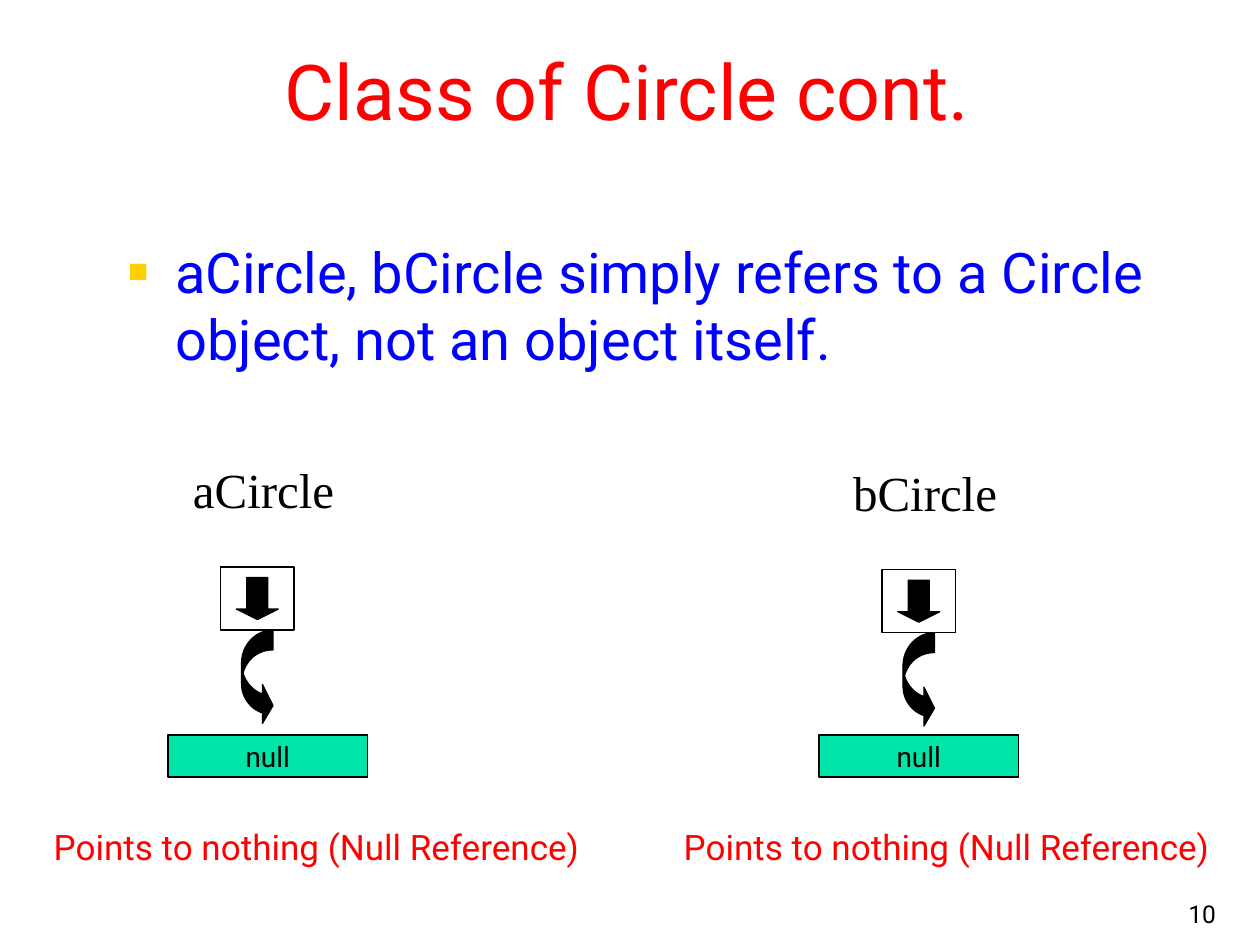
import pptx
import pptx.dml.color
import pptx.enum.shapes
import pptx.enum.text
import pptx.util
from lxml import etree

SHAPE = pptx.enum.shapes.MSO_SHAPE
ALIGN = pptx.enum.text.PP_ALIGN
ANCHOR = pptx.enum.text.MSO_ANCHOR
BLACK, WHITE, RED, BLUE = "000000", "FFFFFF", "FF0000", "0000FF"
GREEN, GOLD = "00E4A8", "FFCF01"
COLUMNS, ROWS = 120, 90
UNITS_PER_CELL = 100
CURVE_STEPS = 12


def cells(count):
    """Return the length of a number of grid cells, each a twelfth of an inch."""
    return pptx.util.Inches(count / 12)


def rgb(code):
    """Return the colour of a hex string."""
    return pptx.dml.color.RGBColor.from_string(code)


def write(holder, text, size, color, font="Roboto", align=ALIGN.CENTER,
          anchor=ANCHOR.TOP, wrap=True):
    """Write one formatted paragraph and return it."""
    frame = holder.text_frame
    frame.text = text
    frame.auto_size = pptx.enum.text.MSO_AUTO_SIZE.NONE
    frame.word_wrap = wrap
    frame.vertical_anchor = anchor
    paragraph = frame.paragraphs[0]
    paragraph.alignment = align
    paragraph.font.name = font
    paragraph.font.size = pptx.util.Pt(size)
    paragraph.font.color.rgb = rgb(color)
    return paragraph


def place(holder, left, top, width, height):
    """Move a placeholder to a place on the grid."""
    holder.left, holder.top = cells(left), cells(top)
    holder.width, holder.height = cells(width), cells(height)


def paint(outline, fill):
    """Give a shape a plain fill and a thin black line."""
    outline.shadow.inherit = False
    outline.fill.solid()
    outline.fill.fore_color.rgb = rgb(fill)
    outline.line.color.rgb = rgb(BLACK)
    outline.line.width = pptx.util.Pt(0.75)


def add_label(slide, place_on_grid, text, size, color, **style):
    """Add a text box."""
    label = slide.shapes.add_textbox(*map(cells, place_on_grid))
    write(label, text, size, color, **style)


def add_block(slide, kind, place_on_grid, fill):
    """Add a preset shape and return it."""
    block = slide.shapes.add_shape(kind, *map(cells, place_on_grid))
    paint(block, fill)
    return block


def curve(start, lead, trail, end):
    """Return points along a cubic curve, without its start."""
    steps = [step / CURVE_STEPS for step in range(1, CURVE_STEPS + 1)]
    return [
        tuple((1 - t) ** 3 * a + 3 * (1 - t) ** 2 * t * b
              + 3 * (1 - t) * t ** 2 * c + t ** 3 * d
              for a, b, c, d in zip(start, lead, trail, end))
        for t in steps
    ]


def add_curved_arrow(slide, left, top):
    """Add the arrow that bends from a reference down to null."""
    points = [(3, 0)]
    points += curve((3, 0), (1.4, 0), (0, 1.4), (0, 3.2))
    points += [(0, 5)]
    points += curve((0, 5), (0, 6.4), (0.8, 7.5), (2, 7.9))
    points += [(2, 8.9), (3, 7.2), (2, 5.2), (2, 6.1)]
    points += curve((2, 6.1), (1.1, 5.8), (0.4, 5), (0.15, 4.1))
    points += curve((0.15, 4.1), (0.5, 2.8), (1.6, 1.9), (3, 1.9))
    units = [(x * UNITS_PER_CELL, y * UNITS_PER_CELL) for x, y in points]
    builder = slide.shapes.build_freeform(
        *units[0], scale=cells(1) / UNITS_PER_CELL)
    builder.add_line_segments(units[1:], close=True)
    paint(builder.convert_to_shape(cells(left), cells(top)), BLACK)


def add_reference(slide, name, left, drop, null_left, caption_left):
    """Add a named reference, its arrows, its null target and its caption."""
    add_label(slide, (left - 3.9, 43.2 + drop, 16, 6.8), name, 28, BLACK,
              font="Times New Roman", wrap=False)
    add_block(slide, SHAPE.RECTANGLE, (left, 54 + drop, 7, 6), WHITE)
    add_curved_arrow(slide, left + 2, 60 + drop)
    arrow = add_block(slide, SHAPE.DOWN_ARROW,
                      (left + 1.5, 55 + drop, 4, 4), BLACK)
    arrow.adjustments[0], arrow.adjustments[1] = 0.5, 0.25
    target = add_block(slide, SHAPE.RECTANGLE, (null_left, 70, 19, 4), GREEN)
    write(target, "null", 16, BLACK, anchor=ANCHOR.MIDDLE, wrap=False)
    add_label(slide, (caption_left, 78, 55.3, 5.3),
              "Points to nothing (Null Reference)", 20, RED, wrap=False)


def add_bullet(paragraph):
    """Give a paragraph a small gold square and a hanging indent."""
    paragraph.space_before = pptx.util.Pt(8)
    properties = paragraph._p.get_or_add_pPr()
    properties.set("marL", str(cells(4.5)))
    properties.set("indent", str(-cells(4.5)))
    tag = pptx.oxml.ns.qn
    color = etree.SubElement(properties, tag("a:buClr"))
    etree.SubElement(color, tag("a:srgbClr"), val=GOLD)
    etree.SubElement(properties, tag("a:buSzPct"), val="60000")
    etree.SubElement(properties, tag("a:buFont"), typeface="Arial")
    etree.SubElement(properties, tag("a:buChar"), char="■")
    run_defaults = properties.find(tag("a:defRPr"))
    if run_defaults is not None:
        properties.append(run_defaults)


def main():
    """Build the slide and save it."""
    deck = pptx.Presentation()
    deck.slide_width, deck.slide_height = cells(COLUMNS), cells(ROWS)
    slide = deck.slides.add_slide(deck.slide_layouts[1])
    title, body = slide.placeholders
    place(title, 2, 2, 115.5, 13)
    write(title, "Class of Circle cont.", 44, RED, anchor=ANCHOR.MIDDLE)
    place(body, 11, 22, 106, 58.4)
    statement = write(
        body,
        "aCircle, bCircle simply refers to a Circle object, "
        "not an object itself.",
        32, BLUE, align=ALIGN.LEFT)
    add_bullet(statement)
    add_reference(slide, "aCircle", 21, 0, 16, 2.5)
    add_reference(slide, "bCircle", 84, 0.25, 78, 62.5)
    add_label(slide, (92, 83, 25, 6), "10", 14, BLACK,
              align=ALIGN.RIGHT, anchor=ANCHOR.BOTTOM)
    deck.save("out.pptx")


if __name__ == "__main__":
    main()
